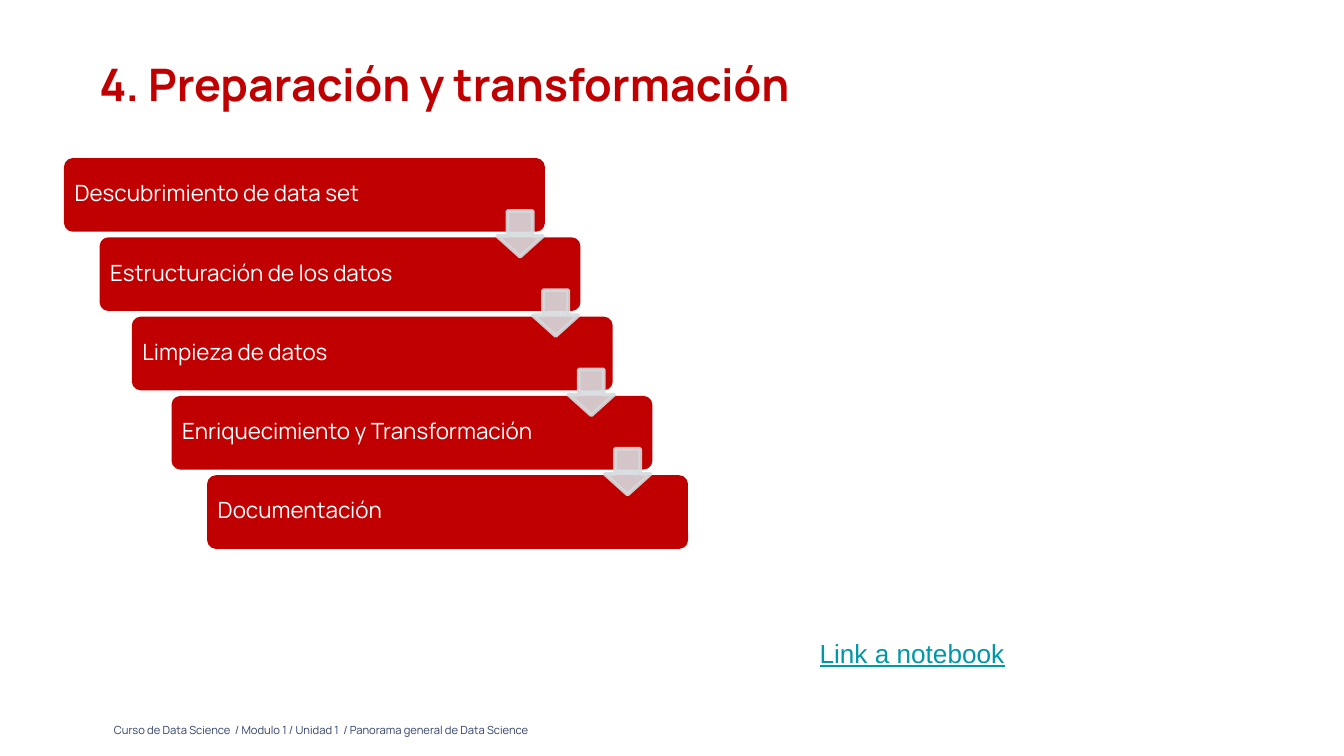
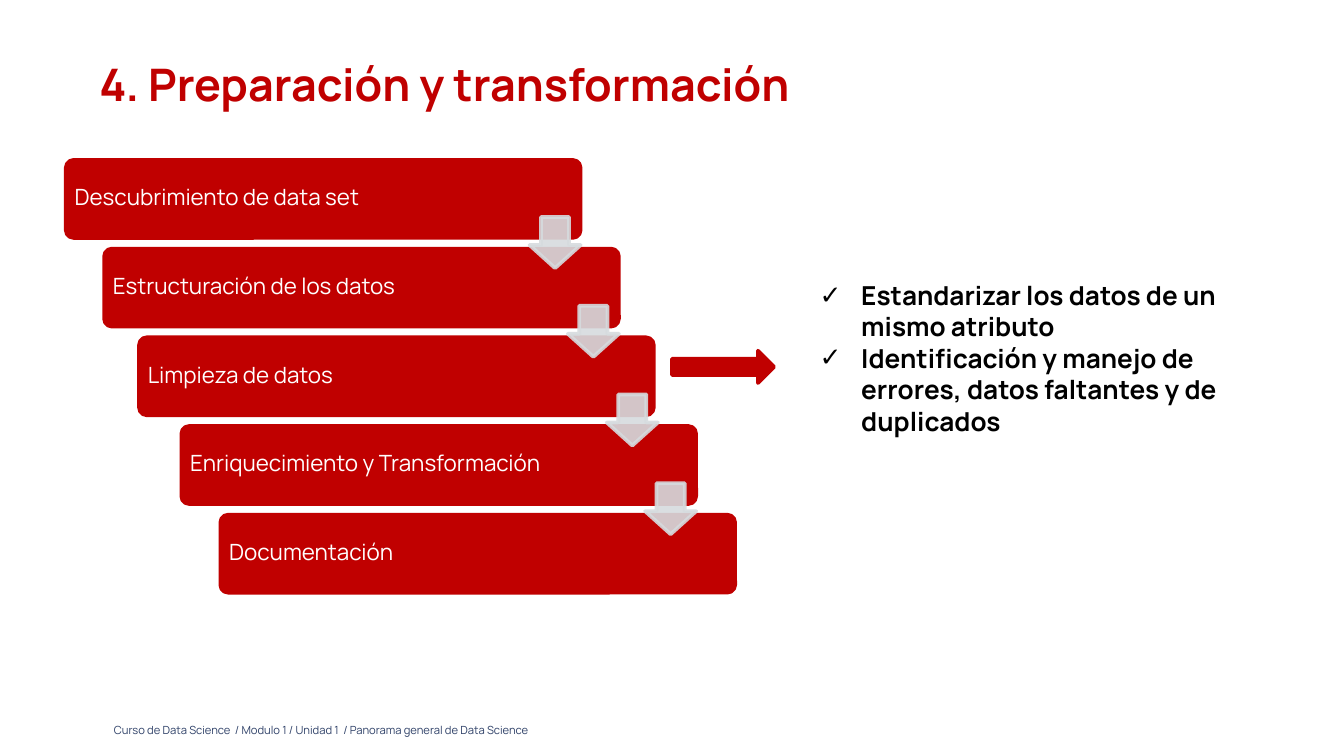
import lxml.etree
import pptx
import pptx.dml.color
import pptx.enum.shapes
import pptx.enum.text
import pptx.oxml.ns
import pptx.util

PX = 4572
RED, GRAY, NAVY, TEAL = "C00000", "D6DBDE", "304269", "0097A7"
WHITE, BLACK = "FFFFFF", "000000"
FONT = "Manrope"
SHAPE = pptx.enum.shapes.MSO_SHAPE
FIT = pptx.enum.text.MSO_AUTO_SIZE
TITLE = "4. Preparación y transformación"
FOOTER = "Curso de Data Science  / Modulo 1 / Unidad 1  / Panorama general de Data Science"
STEPS = [
    ("Descubrimiento de data set", 0),
    ("Estructuración de los datos", 1),
    ("Limpieza de datos", 1.9),
    ("Enriquecimiento y Transformación", 3),
    ("Documentación", 4),
]
CHECKS = [
    "Estandarizar los datos de un mismo atributo",
    "Identificación y manejo de errores, datos faltantes y de duplicados",
]


def px(num):
    return round(num) * PX


def color(code):
    return pptx.dml.color.RGBColor.from_string(code)


def node(parent, tag, **attrs):
    return lxml.etree.SubElement(parent, pptx.oxml.ns.qn(tag), **attrs)


class Deck:
    def __init__(self, width, height):
        self.file = pptx.Presentation()
        self.file.slide_width = px(width)
        self.file.slide_height = px(height)

    def start(self):
        slide = self.file.slides.add_slide(self.file.slide_layouts[6])
        self.shapes = slide.shapes
        self.text(128, 74, 1304, 114, [TITLE], 24, RED, bold=True, inset=(20, 20),
                  ratio=0.9, grow=True)
        self.text(150, 1056, 1348, 48, [FOOTER], 6, NAVY, inset=(20, 20))

    def text(self, left, top, width, height, lines, size, ink, font=FONT,
             bold=False, under=False, inset=(20, 10), ratio=None, after=None,
             middle=False, grow=False, bullet=None, area=None):
        box = (area or self.shapes).add_textbox(px(left), px(top), px(width), px(height))
        frame = box.text_frame
        frame.text = "\n".join(lines)
        frame.word_wrap = True
        frame.auto_size = FIT.SHAPE_TO_FIT_TEXT if grow else FIT.NONE
        frame.margin_left = frame.margin_right = px(inset[0])
        frame.margin_top = frame.margin_bottom = px(inset[1])
        if middle:
            frame.vertical_anchor = pptx.enum.text.MSO_ANCHOR.MIDDLE
        for para in frame.paragraphs:
            if bullet:
                self.mark(para, bullet, ink)
            if ratio:
                para.line_spacing = ratio
            if after:
                para.space_after = pptx.util.Pt(after)
            for run in para.runs:
                run.font.name = font
                run.font.size = pptx.util.Pt(size)
                run.font.bold = bold
                run.font.underline = under
                run.font.color.rgb = color(ink)

    def mark(self, para, char, ink):
        props = para._p.get_or_add_pPr()
        props.set("marL", str(px(62)))
        props.set("indent", str(px(-62)))
        node(node(props, "a:buClr"), "a:srgbClr", val=ink)
        node(props, "a:buFont", typeface="Arial")
        node(props, "a:buChar", char=char)

    def shape(self, kind, left, top, width, height, fill, adjust=(), alpha=None, area=None):
        item = (area or self.shapes).add_shape(kind, px(left), px(top), px(width), px(height))
        item.shadow.inherit = False
        for spot, value in enumerate(adjust):
            item.adjustments[spot] = value
        item.fill.solid()
        item.fill.fore_color.rgb = color(fill)
        item.line.color.rgb = color(fill)
        item.line.width = pptx.util.Pt(2)
        if alpha:
            for tint in item._element.spPr.iter(pptx.oxml.ns.qn("a:srgbClr")):
                node(tint, "a:alpha", val=str(alpha * 1000))

    def stairs(self, width, height, pitch, arrow):
        left, top, step = 98, 238, width * 3 / 40
        area = self.shapes.add_group_shape().shapes
        for row, (label, shift) in enumerate(STEPS):
            x, y = left + shift * step, top + row * pitch
            self.shape(SHAPE.ROUNDED_RECTANGLE, x, y, width, height, RED, [0.1], area=area)
            self.text(x + 3, y + 3, 0.82 * width, height - 7, [label], 12, WHITE,
                      inset=(10, 10), ratio=0.9, after=4.2, middle=True, area=area)
        for row in range(len(STEPS) - 1):
            x = left + width - arrow + row * step
            y = top + row * pitch + 0.73 * height
            self.shape(SHAPE.DOWN_ARROW, x, y, arrow, arrow, GRAY, [0.55, 0.45], 90, area)


def main():
    deck = Deck(2000, 1125)

    deck.start()
    deck.stairs(710, 104, 118, 68)
    deck.text(1200, 938, 508, 68, ["Link a notebook"], 14, TEAL, font="Arial",
              under=True, grow=True)

    deck.start()
    deck.stairs(766, 116, 132, 76)
    deck.shape(SHAPE.RIGHT_ARROW, 1000, 522, 152, 48, RED)
    deck.text(1200, 406, 726, 302, CHECKS, 14, BLACK, bold=True, grow=True, bullet="✓")

    deck.file.save("out.pptx")


if __name__ == "__main__":
    main()
